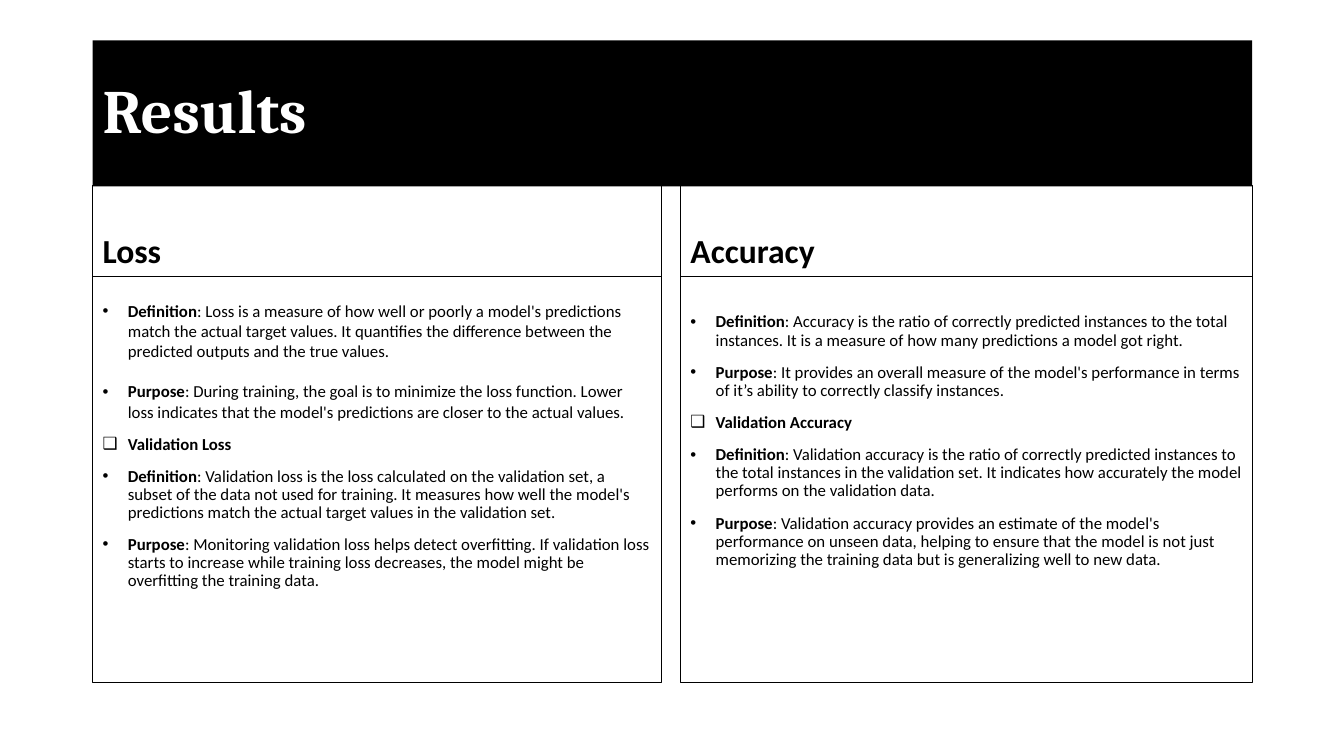
import pptx
import pptx.util
import pptx.dml.color
import pptx.enum.text
import lxml.etree

Inches, Pt = pptx.util.Inches, pptx.util.Pt
Anchor = pptx.enum.text.MSO_ANCHOR
INK = {"black": "000000", "white": "FFFFFF"}
NS = "{http://schemas.openxmlformats.org/drawingml/2006/main}"

TITLE = {"name": "Cambria", "size": Pt(44), "bold": True}
HEAD = {"name": "Calibri", "size": Pt(24), "bold": True}
TERM = {"name": "Calibri", "size": Pt(12), "bold": True}
BODY = {**TERM, "bold": False}

# Each point: bullet, term, text, line spacing, points before
LOSS = [
    ("•", "Definition", ": Loss is a measure of how well or poorly a model's predictions match the actual target values. It quantifies the difference between the predicted outputs and the true values.", 1, 0),
    ("•", "Purpose", ": During training, the goal is to minimize the loss function. Lower loss indicates that the model's predictions are closer to the actual values.", 1, 14.5),
    ("❑", "Validation Loss", "", 0.9, 10),
    ("•", "Definition", ": Validation loss is the loss calculated on the validation set, a subset of the data not used for training. It measures how well the model's predictions match the actual target values in the validation set.", 0.9, 10),
    ("•", "Purpose", ": Monitoring validation loss helps detect overfitting. If validation loss starts to increase while training loss decreases, the model might be overfitting the training data.", 0.9, 10),
]
ACCURACY = [
    ("•", "Definition", ": Accuracy is the ratio of correctly predicted instances to the total instances. It is a measure of how many predictions a model got right.", 0.9, 0),
    ("•", "Purpose", ": It provides an overall measure of the model's performance in terms of it’s ability to correctly classify instances.", 0.9, 10),
    ("❑", "Validation Accuracy", "", 0.9, 10),
    ("•", "Definition", ": Validation accuracy is the ratio of correctly predicted instances to the total instances in the validation set. It indicates how accurately the model performs on the validation data.", 0.9, 10),
    ("•", "Purpose", ": Validation accuracy provides an estimate of the model's performance on unseen data, helping to ensure that the model is not just memorizing the training data but is generalizing well to new data.", 0.9, 10),
]


def color(name):
    return pptx.dml.color.RGBColor.from_string(INK[name])


def add_box(slide, left, top, width, height, anchor):
    box = slide.shapes.add_textbox(*map(Inches, (left, top, width, height)))
    box.text_frame.word_wrap = True
    box.text_frame.vertical_anchor = anchor
    return box


def add_line(box):
    box.line.color.rgb = color("black")
    box.line.width = Pt(0.75)


def add_run(para, text, style, ink="black"):
    run = para.add_run()
    run.text = text
    for key, value in style.items():
        setattr(run.font, key, value)
    run.font.color.rgb = color(ink)


def add_bullet(para, mark):
    """Hang the paragraph by a quarter inch behind its mark."""
    props = para._p.get_or_add_pPr()
    props.set("marL", str(Inches(0.25)))
    props.set("indent", str(Inches(-0.25)))
    lxml.etree.SubElement(props, NS + "buFont", typeface="Arial")
    lxml.etree.SubElement(props, NS + "buChar", char=mark)


def add_title(slide, left, top, width, height):
    box = add_box(slide, left, top, width, height, Anchor.MIDDLE)
    box.fill.solid()
    box.fill.fore_color.rgb = color("black")
    para = box.text_frame.paragraphs[0]
    para.line_spacing = 0.9
    add_run(para, "Results", TITLE, "white")


def add_column(slide, left, top, width, height, title, points, inset):
    """Stack a heading cell on a cell of points, inset from its top."""
    head_h = 0.9
    head = add_box(slide, left, top, width, head_h, Anchor.BOTTOM)
    add_line(head)
    para = head.text_frame.paragraphs[0]
    para.line_spacing = 0.9
    add_run(para, title, HEAD)

    body = add_box(slide, left, top + head_h, width, height - head_h, Anchor.TOP)
    add_line(body)
    frame = body.text_frame
    frame.margin_top = Inches(inset)
    for i, (mark, term, text, spacing, before) in enumerate(points):
        para = frame.add_paragraph() if i else frame.paragraphs[0]
        add_bullet(para, mark)
        para.line_spacing = spacing
        para.space_before = Pt(before)
        add_run(para, term, TERM)
        if text:
            add_run(para, text, BODY)


def main():
    deck = pptx.Presentation()
    deck.slide_width, deck.slide_height = Inches(13.33), Inches(7.5)
    slide = deck.slides.add_slide(deck.slide_layouts[6])
    add_title(slide, 0.92, 0.4, 11.5, 1.45)
    add_column(slide, 0.92, 1.84, 5.64, 4.93, "Loss", LOSS, 0.24)
    add_column(slide, 6.75, 1.84, 5.67, 4.93, "Accuracy", ACCURACY, 0.37)
    deck.save("out.pptx")


if __name__ == "__main__":
    main()
